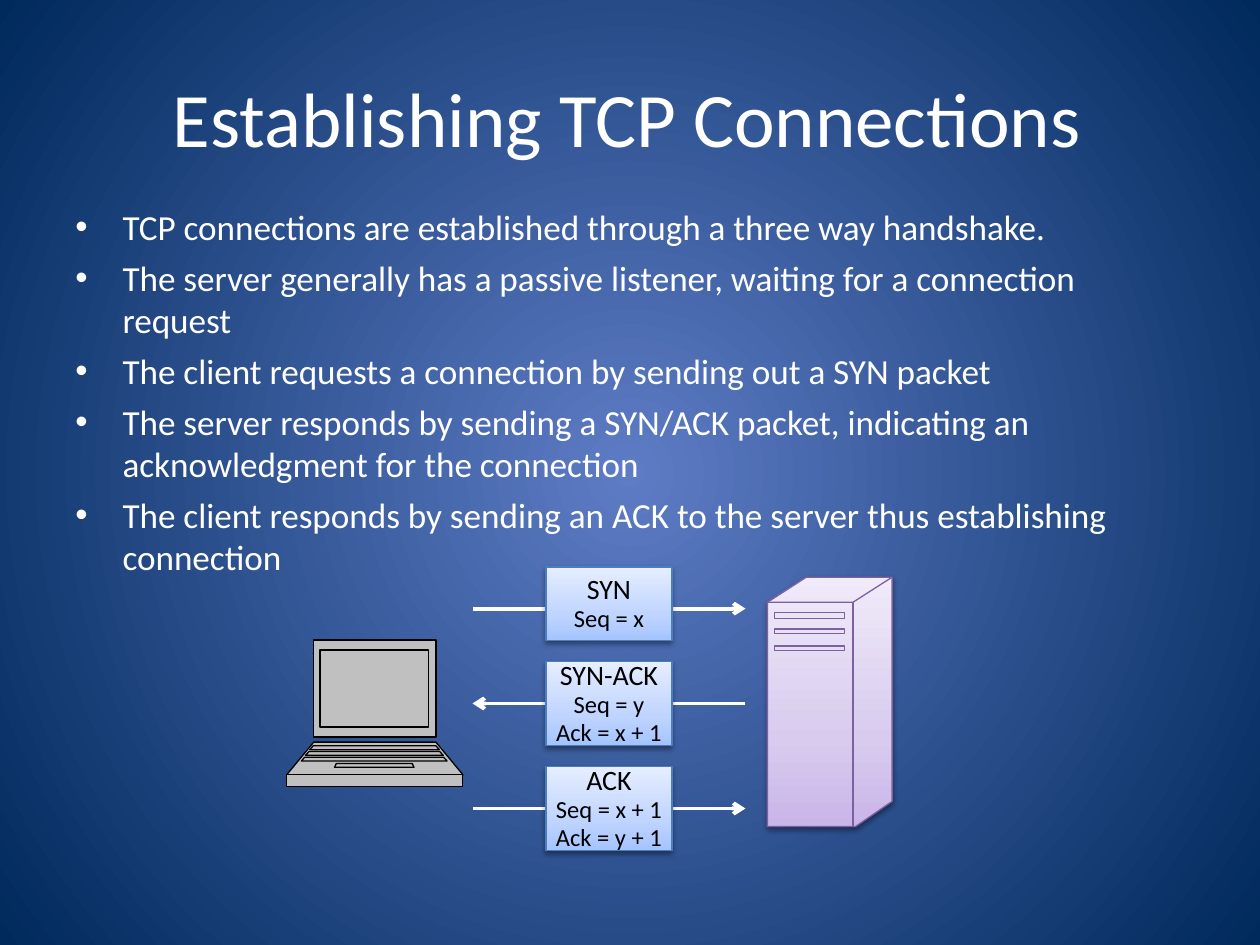
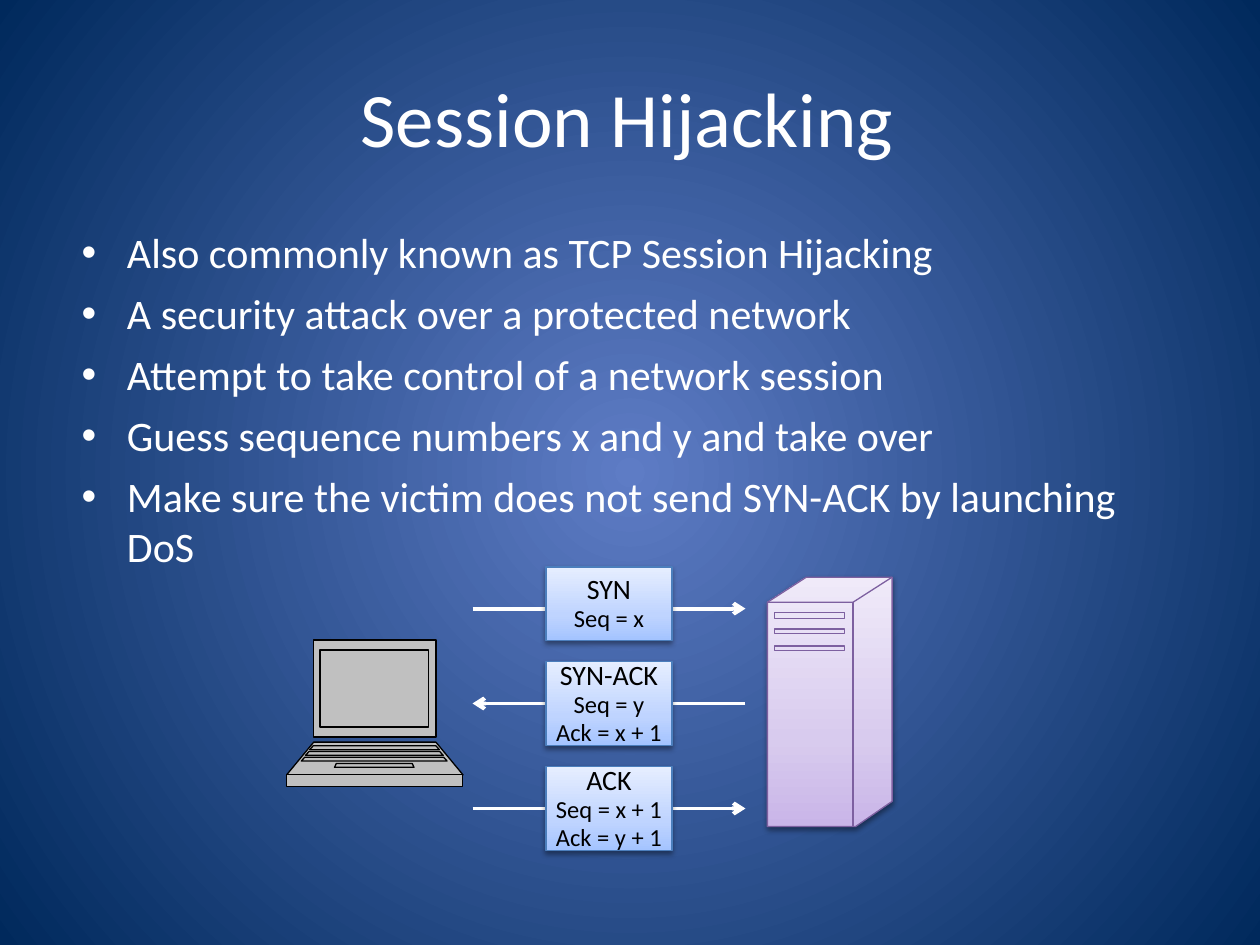
"""Two slides on the TCP handshake and on session hijacking."""
from dataclasses import dataclass

from lxml import etree
from pptx import Presentation
from pptx import util as u
from pptx.dml.color import RGBColor
from pptx.enum import shapes, text
from pptx.oxml.ns import qn


@dataclass(frozen=True)
class Theme:
    """Colours, font and type sizes of the deck."""
    font: str = "Calibri"
    light: str = "FFFFFF"
    dark: str = "000000"
    backdrop: tuple = ((0, "5E7CC5"), (100, "00295C"))
    card_fill: tuple = ((0, "A4C4FF"), (35, "BFD4FF"), (100, "E6EEFF"))
    card_line: str = "4B7EBC"
    server_fill: tuple = ((0, "C9B5E8"), (35, "D8CBEE"), (100, "F0EAF9"))
    server_line: str = "7D60A0"
    laptop_fill: str = "C0C0C0"
    title_size: float = 44
    card_title_size: float = 16
    card_size: float = 14
    thin: float = 0.75
    thick: float = 2.25


def add_xml(parent, tag, **attributes):
    """Append a DrawingML element and return it."""
    element = etree.SubElement(parent, qn("a:" + tag))
    for name, value in attributes.items():
        element.set(name, str(value))
    return element


def fill_gradient(fill, root, stops, radial=False):
    """Give a fill its gradient stops, rising from the bottom or from the centre."""
    fill.gradient()
    gradient = next(root.iter(qn("a:gradFill")))
    gradient.clear()
    gradient.set("rotWithShape", "1")
    stop_list = add_xml(gradient, "gsLst")
    for position, color in stops:
        stop = add_xml(stop_list, "gs", pos=position * 1000)
        add_xml(stop, "srgbClr", val=color)
    if radial:
        circle = add_xml(gradient, "path", path="circle")
        add_xml(circle, "fillToRect", l=50000, t=50000, r=50000, b=50000)
    else:
        add_xml(gradient, "lin", ang=270 * 60000, scaled=0)


def add_shadow(shape):
    """Put a soft shadow below a shape."""
    shape.shadow.inherit = False
    effects = shape._element.spPr.find(qn("a:effectLst"))
    shadow = add_xml(effects, "outerShdw", blurRad=u.Pt(3.1), dist=u.Pt(1.6),
                     dir=90 * 60000, rotWithShape=0)
    color = add_xml(shadow, "srgbClr", val="000000")
    add_xml(color, "alpha", val=38000)


def set_line(line, color, width):
    """Set the colour and width of an outline."""
    line.color.rgb = RGBColor.from_string(color)
    line.width = u.Pt(width)


def write_text(frame, lines, *, font, color, size, first_size=None, align=None,
               anchor=text.MSO_ANCHOR.TOP, margins=(7.2, 3.6, 10.08, 3.6),
               wrap=True, line_spacing=None, gap=0, bullet=None):
    """Write one paragraph a line; bullet is (left margin, hanging indent)."""
    frame.word_wrap = wrap
    frame.vertical_anchor = anchor
    (frame.margin_left, frame.margin_top,
     frame.margin_right, frame.margin_bottom) = map(u.Pt, margins)
    for index, line in enumerate(lines):
        paragraph = frame.paragraphs[0] if index == 0 else frame.add_paragraph()
        paragraph.alignment = align
        if line_spacing:
            paragraph.line_spacing = line_spacing
        if gap and index:
            paragraph.space_before = u.Pt(gap)
        if bullet:
            properties = paragraph._p.get_or_add_pPr()
            properties.set("marL", str(u.Pt(bullet[0])))
            properties.set("indent", str(-u.Pt(bullet[1])))
            add_xml(properties, "buFont", typeface="Arial")
            add_xml(properties, "buChar", char="•")
        run = paragraph.add_run()
        run.text = line
        run.font.name = font
        run.font.size = u.Pt(first_size if first_size and index == 0 else size)
        run.font.color.rgb = RGBColor.from_string(color)


def trapezoid(top, bottom, left, right, spread=0):
    """Return the closed outline of a trapezoid that widens downwards by spread."""
    return [(left, top), (right, top), (right + spread, bottom),
            (left - spread, bottom), (left, top)]


class Deck:
    """The presentation, its theme and the current slide."""

    def __init__(self, theme):
        """Start a 10 by 7.5 inch presentation."""
        self.theme = theme
        self.presentation = Presentation()
        self.presentation.slide_width = u.Pt(720)
        self.presentation.slide_height = u.Pt(540)
        self.slide = None

    def add_slide(self, title):
        """Add a slide with the shared background and title."""
        self.slide = self.presentation.slides.add_slide(
            self.presentation.slide_layouts[6])
        fill_gradient(self.slide.background.fill, self.slide._element,
                      self.theme.backdrop, radial=True)
        self.text_box((36, 21.6, 648, 90), [title], size=self.theme.title_size,
                      align=text.PP_ALIGN.CENTER, anchor=text.MSO_ANCHOR.MIDDLE)

    def text_box(self, box, lines, **style):
        """Add a text box in the light colour."""
        shape = self.slide.shapes.add_textbox(*map(u.Pt, box))
        write_text(shape.text_frame, lines, font=self.theme.font,
                   color=self.theme.light, **style)

    def arrow(self, start, end, y):
        """Draw a horizontal arrow from start to end."""
        connector = self.slide.shapes.add_connector(
            shapes.MSO_CONNECTOR.STRAIGHT, *map(u.Pt, (start, y, end, y)))
        set_line(connector.line, self.theme.light, self.theme.thick)
        add_xml(connector.line._get_or_add_ln(), "tailEnd", type="arrow")
        add_xml(connector._element.spPr, "effectLst")

    def card(self, box, lines):
        """Add a packet card with a heading and its sequence numbers."""
        shape = self.slide.shapes.add_shape(
            shapes.MSO_SHAPE.RECTANGLE, *map(u.Pt, box))
        fill_gradient(shape.fill, shape._element, self.theme.card_fill)
        set_line(shape.line, self.theme.card_line, self.theme.thin)
        add_shadow(shape)
        write_text(shape.text_frame, lines, font=self.theme.font,
                   color=self.theme.dark, size=self.theme.card_size,
                   first_size=self.theme.card_title_size, line_spacing=0.93,
                   align=text.PP_ALIGN.CENTER, anchor=text.MSO_ANCHOR.MIDDLE,
                   margins=(0, 0, 0, 0), wrap=False)

    def outline(self, contours, filled):
        """Build one freeform, each contour a path; the first few are filled."""
        scaled = [[(u.Pt(x), u.Pt(y)) for x, y in contour] for contour in contours]
        builder = self.slide.shapes.build_freeform(*scaled[0][0], scale=1.0)
        for index, points in enumerate(scaled):
            if index:
                builder.move_to(*points[0])
            builder.add_line_segments(points[1:], close=points[0] == points[-1])
        shape = builder.convert_to_shape()
        whole = next(shape._element.iter(qn("a:path")))
        count = 0
        for step in list(whole):
            if step.tag == qn("a:moveTo"):
                part = add_xml(whole.getparent(), "path", w=whole.get("w"),
                               h=whole.get("h"))
                if count >= filled:
                    part.set("fill", "none")
                count += 1
            part.append(step)
        whole.getparent().remove(whole)
        shape.shadow.inherit = False
        return shape

    def laptop(self):
        """Draw the client computer."""
        contours = [
            trapezoid(365.8, 421.2, 179.3, 249.1),         # lid
            trapezoid(424.1, 442.8, 179.3, 249.1, 15.5),   # deck
            trapezoid(442.8, 449.3, 163.6, 264.4),         # front edge
            trapezoid(371.5, 415.4, 182.9, 244.8),         # screen
            trapezoid(436.3, 438.5, 192.2, 235.6, 1),      # touchpad
        ]
        for row in range(3):                               # keys
            contours.append(trapezoid(426.2 + 3.25 * row, 428.4 + 3.25 * row,
                                      179 - 2.4 * row, 249.1 + 2.2 * row, 2))
        shape = self.outline(contours, filled=len(contours))
        shape.fill.solid()
        shape.fill.fore_color.rgb = RGBColor.from_string(self.theme.laptop_fill)
        set_line(shape.line, self.theme.dark, self.theme.thin)

    def server(self):
        """Draw the server tower with its three drive slots."""
        left, edge, right = 438.5, 487.4, 509.8
        top, front_top, bottom = 329.8, 344.2, 472.3
        contours = [
            [(left, front_top), (460.8, top), (right, top), (right, 457.9),
             (488.9, bottom), (left, bottom), (left, front_top)],
            [(left, front_top), (edge, front_top), (right, top)],
            [(edge, front_top), (edge, bottom)],
        ]
        for slot_top, height in ((350, 3.5), (359.4, 2.8), (369.2, 2.4)):
            contours.append(trapezoid(slot_top, slot_top + height, 442.8, 482.4))
        shape = self.outline(contours, filled=1)
        fill_gradient(shape.fill, shape._element, self.theme.server_fill)
        set_line(shape.line, self.theme.server_line, self.theme.thin)
        add_shadow(shape)

    def handshake(self):
        """Draw the three packets between the client and the server."""
        client, server = 270, 426
        packets = [
            (324, 42, 347.8, client, server, ["SYN", "Seq = x"]),
            (378, 48, 402, server, client, ["SYN-ACK", "Seq = y", "Ack = x + 1"]),
            (438, 48, 462, client, server, ["ACK", "Seq = x + 1", "Ack = y + 1"]),
        ]
        for top, height, arrow_y, start, end, lines in packets:
            self.arrow(start, end, arrow_y)
            self.card((312, top, 72, height), lines)
        self.laptop()
        self.server()


def main():
    """Build both slides and save them."""
    deck = Deck(Theme())

    deck.add_slide("Establishing TCP Connections")
    deck.text_box((36, 113.8, 648, 228), [
        "TCP connections are established through a three way handshake.",
        "The server generally has a passive listener, waiting for a connection request",
        "The client requests a connection by sending out a SYN packet",
        "The server responds by sending a SYN/ACK packet, indicating an "
        "acknowledgment for the connection",
        "The client responds by sending an ACK to the server thus establishing "
        "connection",
    ], size=20.1, gap=5, bullet=(27, 27))
    deck.handshake()

    deck.add_slide("Session Hijacking")
    deck.text_box((36, 126, 648, 356.4), [
        "Also commonly known as TCP Session Hijacking",
        "A security attack over a protected network",
        "Attempt to take control of a network session",
        "Guess sequence numbers x and y and take over",
        "Make sure the victim does not send SYN-ACK by launching DoS",
    ], size=24, gap=6, bullet=(29.5, 26))
    deck.handshake()

    deck.presentation.save("out.pptx")


main()
